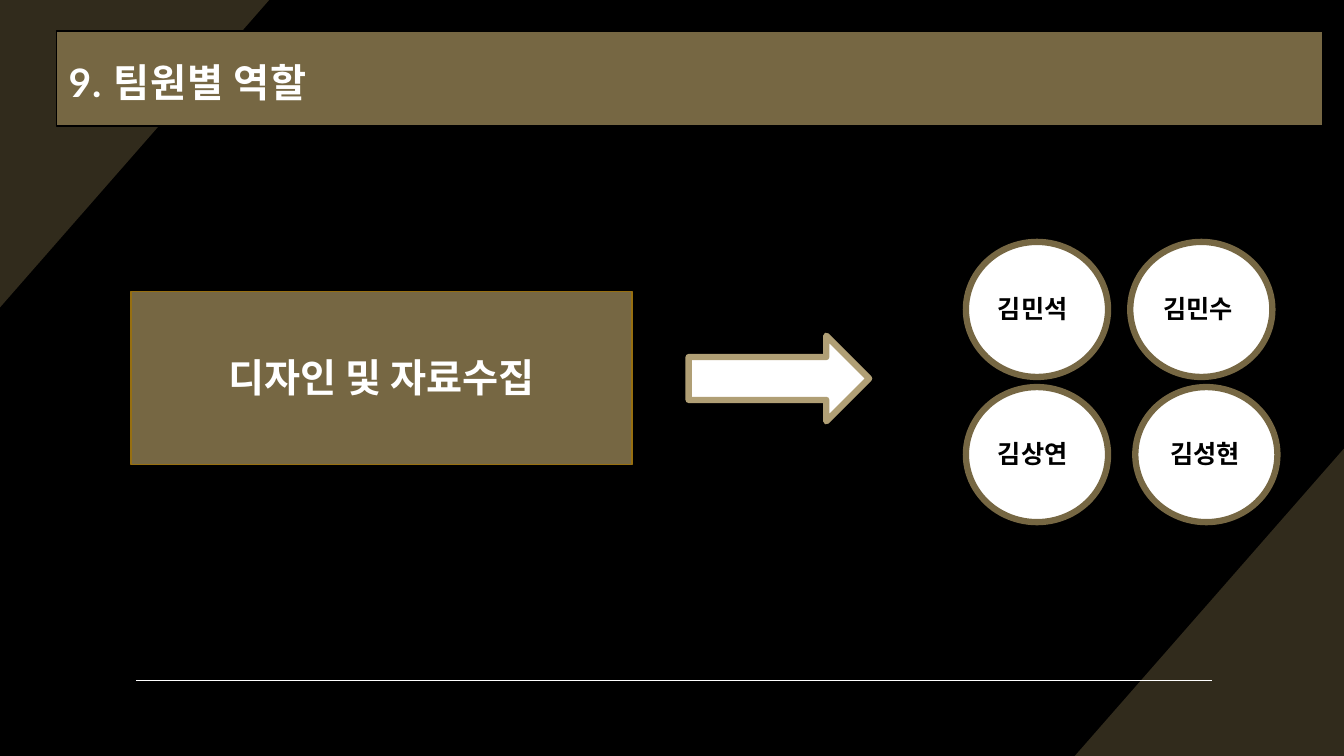
from pptx import Presentation
from pptx.dml.color import RGBColor
from pptx.enum.shapes import MSO_CONNECTOR, MSO_SHAPE
from pptx.enum.text import MSO_ANCHOR, MSO_AUTO_SIZE, PP_ALIGN
from pptx.util import Inches, Pt
from lxml import etree

RECTANGLE, OVAL, ARROW = MSO_SHAPE.RECTANGLE, MSO_SHAPE.OVAL, MSO_SHAPE.RIGHT_ARROW
STRAIGHT = MSO_CONNECTOR.STRAIGHT
MIDDLE, TOP = MSO_ANCHOR.MIDDLE, MSO_ANCHOR.TOP
NO_FIT, GROW = MSO_AUTO_SIZE.NONE, MSO_AUTO_SIZE.SHAPE_TO_FIT_TEXT
LEFT, CENTER = PP_ALIGN.LEFT, PP_ALIGN.CENTER

BLACK = RGBColor(0x00, 0x00, 0x00)
WHITE = RGBColor(0xFF, 0xFF, 0xFF)
BRONZE = RGBColor(0x76, 0x67, 0x43)
DARK_BRONZE = RGBColor(0x31, 0x2B, 0x1C)
AMBER = RGBColor(0x97, 0x6F, 0x10)
SAND = RGBColor(0xB0, 0x9F, 0x75)

COLUMNS, ROWS = 13.33, 7.5
COLUMN = ROW = Inches(1)
DRAWING_NS = "http://schemas.openxmlformats.org/drawingml/2006/main"

deck = Presentation()
deck.slide_width, deck.slide_height = int(COLUMNS * COLUMN), int(ROWS * ROW)
slide = deck.slides.add_slide(deck.slide_layouts[5])
slide.background.fill.solid()
slide.background.fill.fore_color.rgb = BLACK
shapes = slide.shapes


def add_block(kind, column, row, width, height, fill, outline, weight):
    block = shapes.add_shape(kind, int(column * COLUMN), int(row * ROW),
                             int(width * COLUMN), int(height * ROW))
    block.shadow.inherit = False
    block.fill.solid()
    block.fill.fore_color.rgb = fill
    block.line.color.rgb = outline
    block.line.width = Pt(weight)
    return block


def write_text(holder, place, text, size, color, align, frame_format):
    for side, cells in zip(("left", "top", "width", "height"), place):
        setattr(holder, side, int(cells * COLUMN))
    frame = holder.text_frame
    frame.text = text
    for name, value in frame_format.items():
        setattr(frame, name, value)
    paragraph = frame.paragraphs[0]
    paragraph.alignment = align
    font = paragraph.runs[0].font
    for name, value in {"name": "Lato", "size": Pt(size), "bold": True}.items():
        setattr(font, name, value)
    font.color.rgb = color
    return paragraph


for edge_column, edge_row, direction in ((COLUMNS, ROWS, -1), (0, 0, 1)):
    outline = shapes.build_freeform(int(edge_column * COLUMN), int(edge_row * ROW))
    outline.add_line_segments([
        (int((edge_column + direction * 2.67) * COLUMN), int(edge_row * ROW)),
        (int(edge_column * COLUMN), int((edge_row + direction * 3.05) * ROW)),
    ], close=True)
    corner = outline.convert_to_shape()
    corner.shadow.inherit = False
    corner.fill.solid()
    corner.fill.fore_color.rgb = DARK_BRONZE
    corner.line.fill.background()

footer_rule = shapes.add_connector(STRAIGHT, int(1.35 * COLUMN), int(6.75 * ROW),
                                   int(12.02 * COLUMN), int(6.75 * ROW))
footer_rule.line.color.rgb = WHITE
footer_rule.line.width = Pt(1)
etree.SubElement(footer_rule.element.spPr, f"{{{DRAWING_NS}}}effectLst")

header_bar = add_block(RECTANGLE, 0.56, 0.31, 12.56, 0.94, BRONZE, BLACK, 1)
title = shapes.title
header_bar.element.addnext(title.element)
title_format = {
    "word_wrap": True, "auto_size": NO_FIT, "vertical_anchor": MIDDLE,
    "margin_left": Inches(0.12), "margin_top": Inches(0.12),
    "margin_right": Inches(0.12), "margin_bottom": Inches(0.1),
}
heading = write_text(title, (0.56, 0.42, 10.83, 0.72), "9. 팀원별 역할",
                     28, WHITE, LEFT, title_format)
heading.line_spacing = 1.1
heading.runs[0].font._element.set("spc", "70")

label_format = {"word_wrap": True, "auto_size": GROW, "vertical_anchor": TOP}
add_block(RECTANGLE, 1.3, 2.89, 4.97, 1.72, BRONZE, AMBER, 1)
write_text(shapes.add_textbox(0, 0, 0, 0), (1.56, 3.46, 4.45, 0.57),
           "디자인 및 자료수집", 28, WHITE, CENTER, label_format)

members = (
    ("김민석", 9.58, 2.4, 9.8),
    ("김민수", 11.21, 2.4, 11.44),
    ("김상연", 9.58, 3.84, 9.8),
    ("김성현", 11.26, 3.84, 11.51),
)
for member, column, row, name_column in members:
    add_block(OVAL, column, row, 1.41, 1.34, WHITE, BRONZE, 4.5)
    write_text(shapes.add_textbox(0, 0, 0, 0), (name_column, row + 0.46, 1.04, 0.4),
               member, 18, BLACK, LEFT, label_format)

add_block(ARROW, 6.83, 3.33, 1.79, 0.85, WHITE, SAND, 4.5)

deck.save("out.pptx")
